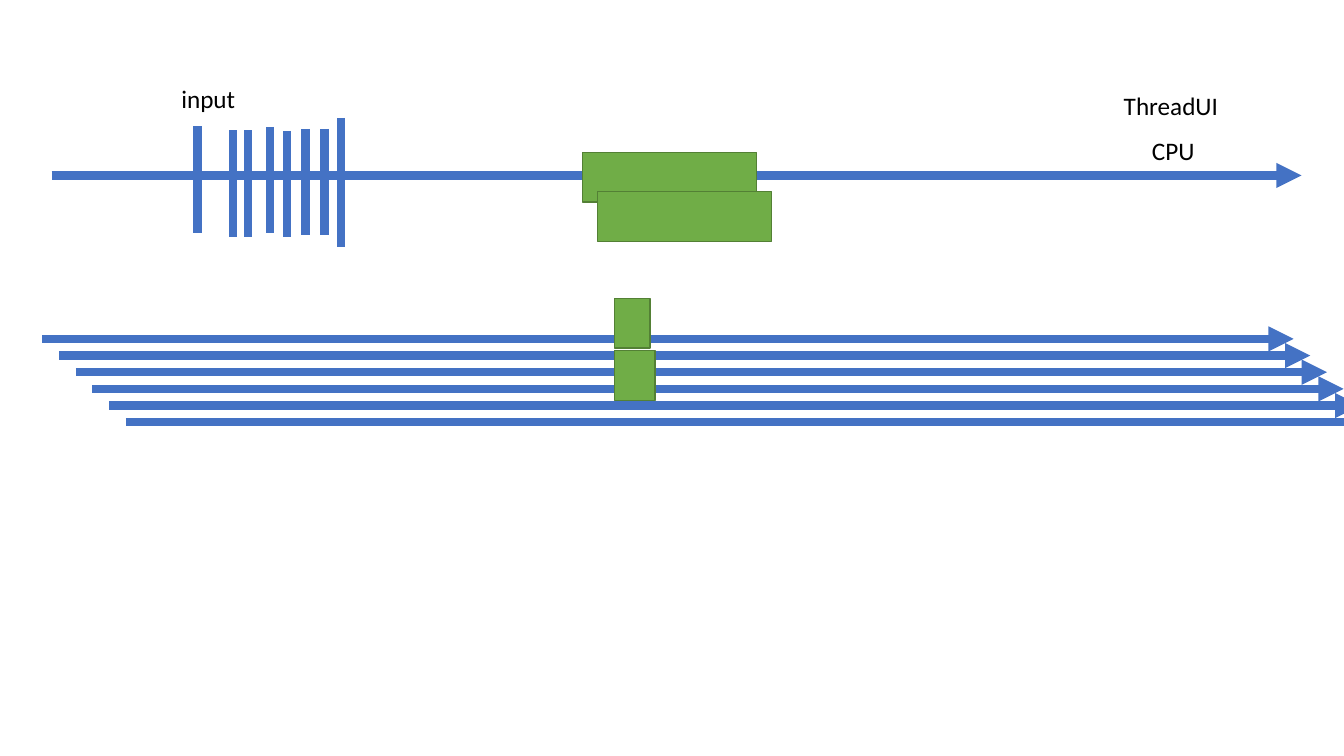
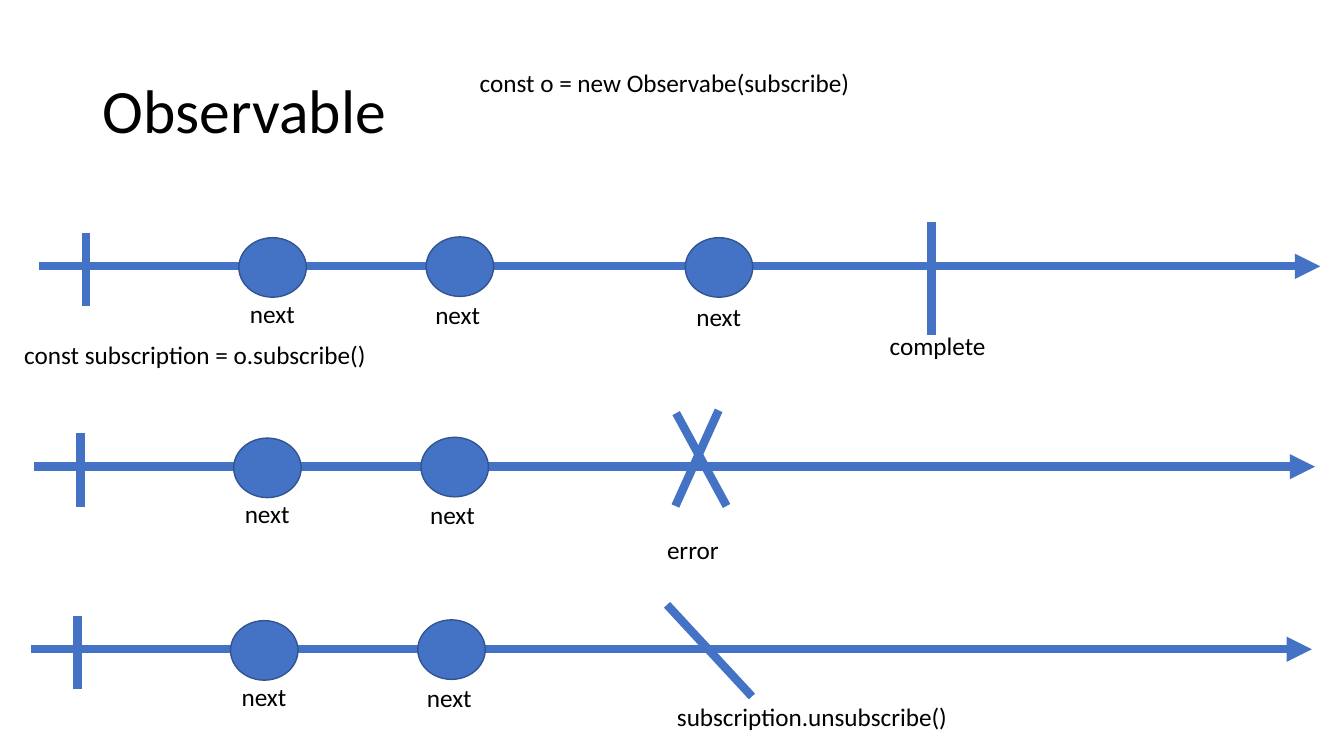
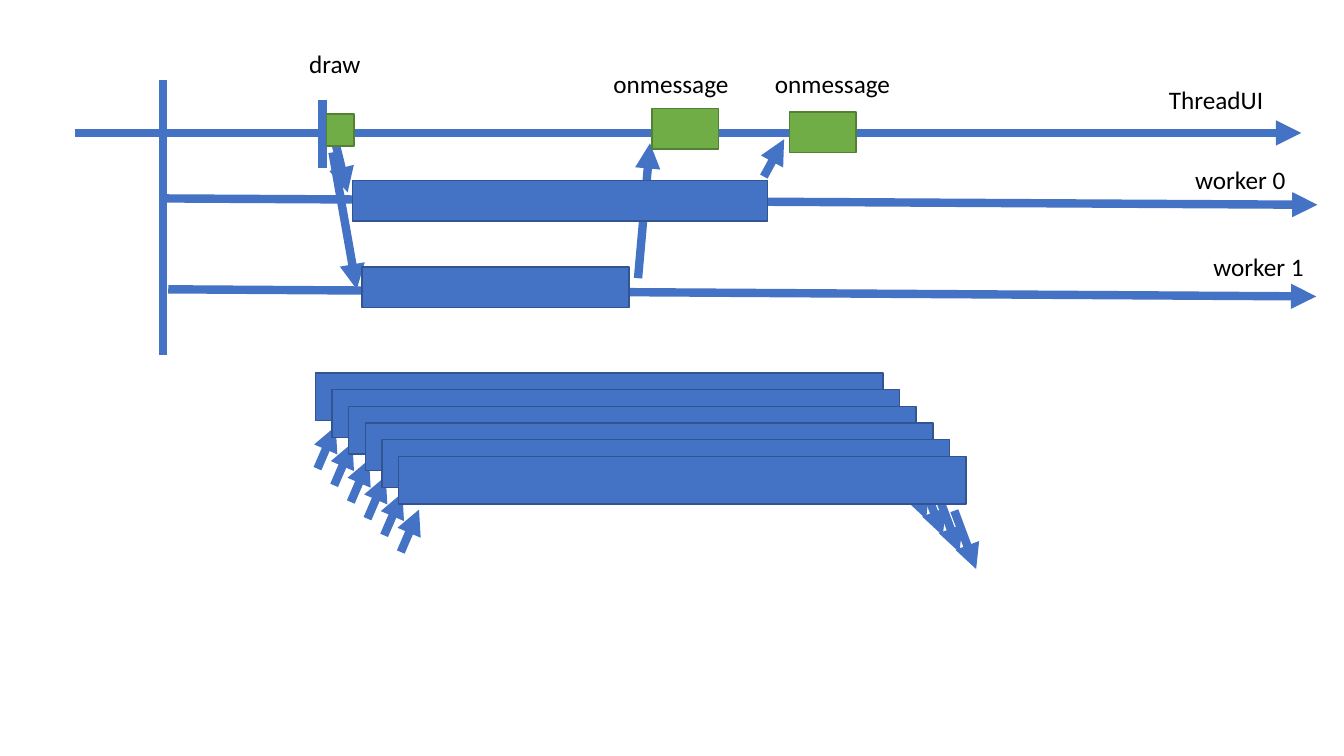
from lxml.etree import SubElement
from pptx import Presentation
from pptx.dml.color import RGBColor
from pptx.enum.shapes import MSO_CONNECTOR as Link, MSO_SHAPE as Form
from pptx.enum.text import MSO_ANCHOR as Anchor, MSO_AUTO_SIZE as Fit
from pptx.oxml.ns import qn
from pptx.util import Cm, Pt

BLUE = RGBColor(0x44, 0x72, 0xC4)
NAVY = RGBColor(0x32, 0x54, 0x91)
GREEN = RGBColor(0x70, 0xAD, 0x47)
MOSS = RGBColor(0x53, 0x80, 0x35)
BLACK = RGBColor(0, 0, 0)
FONT = "Calibri"
STEP = 0.42


def draw_line(slide, x1, y1, x2, y2, arrow=False):
    line = slide.shapes.add_connector(Link.STRAIGHT, Cm(x1), Cm(y1), Cm(x2), Cm(y2))
    line.line.color.rgb = BLUE
    line.line.width = Pt(6)
    props = line._element.spPr
    if arrow:
        SubElement(props.find(qn("a:ln")), qn("a:tailEnd"), type="triangle")
    SubElement(props, qn("a:effectLst"))


def draw_form(slide, form, x, y, wide, high, fill, edge):
    shape = slide.shapes.add_shape(form, Cm(x), Cm(y), Cm(wide), Cm(high))
    shape.shadow.inherit = False
    shape.fill.solid()
    shape.fill.fore_color.rgb = fill
    shape.line.color.rgb = edge
    shape.line.width = Pt(1)


deck = Presentation()
deck.slide_width, deck.slide_height = Cm(33.87), Cm(19.05)
blank = deck.slide_layouts[6]
cores, stream, workers = [deck.slides.add_slide(blank) for _ in range(3)]

labels = [
    (cores, "CPU", 28.78, 3.28, 1.6),
    (cores, "ThreadUI", 28.07, 2.16, 2.92),
    (cores, "input", 4.32, 1.98, 1.88),
    (stream, "const o = new Observabe(subscribe)", 11.84, 1.57, 9.93),
    (stream, "const subscription = o.subscribe()", 0.36, 8.43, 9.22),
    (stream, "complete", 22.17, 8.2, 2.97),
    (stream, "error", 16.56, 13.34, 1.83),
    (stream, "subscription.unsubscribe()", 16.81, 17.55, 7.39),
    (workers, "ThreadUI", 29.21, 2.01, 2.92),
    (workers, "draw", 7.54, 1.09, 1.83),
    (workers, "worker 0", 29.87, 4.01, 2.82),
    (workers, "worker 1", 30.33, 6.2, 2.82),
    (workers, "onmessage", 15.21, 1.6, 3.45),
    (workers, "onmessage", 19.28, 1.6, 3.45),
]

draw_line(cores, 1.3, 4.42, 32.8, 4.42, True)
for x, top in [(4.98, 3.18), (5.87, 3.28), (6.25, 3.28), (6.81, 3.2),
               (7.24, 3.3), (7.7, 3.25), (8.18, 3.25)]:
    draw_line(cores, x, top, x, top + 2.68)
draw_line(cores, 8.59, 2.97, 8.59, 6.22)
for i in range(6):
    x, y = 1.07 + i * STEP, 8.54 + i * STEP
    draw_line(cores, x, y, x + 31.53, y, True)
for x, y, wide in [(14.68, 3.84, 4.39), (15.06, 4.83, 4.39),
                   (15.49, 8.84, 1.02), (15.49, 7.52, 0.89)]:
    draw_form(cores, Form.RECTANGLE, x, y, wide, 1.25, GREEN, MOSS)

title = stream.shapes.add_textbox(Cm(2.34), Cm(1.02), Cm(29.21), Cm(3.68))
frame = title.text_frame
frame.word_wrap = True
frame.vertical_anchor = Anchor.MIDDLE
frame.text = "Observable"
frame.paragraphs[0].line_spacing = 0.9
font = frame.paragraphs[0].runs[0].font
font.name, font.size, font.color.rgb = FONT, Pt(44), BLACK

events = [(6.02, 5.99, 6.05, 7.39), (10.74, 5.97, 10.72, 7.42), (17.27, 5.99, 17.3, 7.47)]
for dx, dy, count in [(0, 0, 3), (-0.13, 5.05, 2), (-0.21, 9.65, 2)]:
    draw_line(stream, 0.99 + dx, 6.71 + dy, 33.27 + dx, 6.71 + dy, True)
    draw_line(stream, 2.16 + dx, 5.87 + dy, 2.16 + dx, 7.72 + dy)
    for x, y, left, top in events[:count]:
        draw_form(stream, Form.OVAL, x + dx, y + dy, 1.7, 1.5, BLUE, NAVY)
        labels.append((stream, "next", left + dx, top + dy, 1.65))
for ends in [(23.47, 5.59, 23.47, 8.43), (17.04, 10.41, 18.31, 12.75),
             (18.11, 10.34, 17.02, 12.75), (16.81, 15.24, 18.95, 17.55)]:
    draw_line(stream, *ends)

for ends in [(1.88, 3.35, 32.79, 3.35), (4.11, 5, 33.2, 5.16), (4.24, 7.29, 33.17, 7.47),
             (8.46, 3.63, 8.76, 4.85), (8.38, 3.84, 8.99, 7.29),
             (16.08, 7.01, 16.38, 3.61), (19.25, 4.45, 19.76, 3.51)]:
    draw_line(workers, *ends, True)
draw_line(workers, 4.11, 2.01, 4.11, 8.94)
draw_line(workers, 8.13, 2.51, 8.13, 4.24)
for x, y, wide, high, fill, edge in [
    (8.23, 2.87, 0.69, 0.81, GREEN, MOSS),
    (16.43, 2.74, 1.68, 1.02, GREEN, MOSS),
    (19.89, 2.82, 1.68, 1.02, GREEN, MOSS),
    (8.89, 4.55, 10.46, 1.02, BLUE, NAVY),
    (9.12, 6.73, 6.73, 1.02, BLUE, NAVY),
]:
    draw_form(workers, Form.RECTANGLE, x, y, wide, high, fill, edge)
for i in range(6):
    d = i * STEP
    draw_form(workers, Form.RECTANGLE, 7.95 + d, 9.4 + d, 14.3, 1.2, BLUE, NAVY)
    draw_line(workers, 8 + d, 11.81 + d, 8.46 + d, 10.74 + d, True)
    draw_line(workers, 21.95 + d, 10.77 + d, 22.5 + d, 12.24 + d, True)

for slide, text, x, y, wide in labels:
    frame = slide.shapes.add_textbox(Cm(x), Cm(y), Cm(wide), Cm(1.03)).text_frame
    frame.word_wrap = False
    frame.auto_size = Fit.SHAPE_TO_FIT_TEXT
    frame.text = text
    font = frame.paragraphs[0].runs[0].font
    font.name, font.size, font.color.rgb = FONT, Pt(18), BLACK

deck.save("out.pptx")
